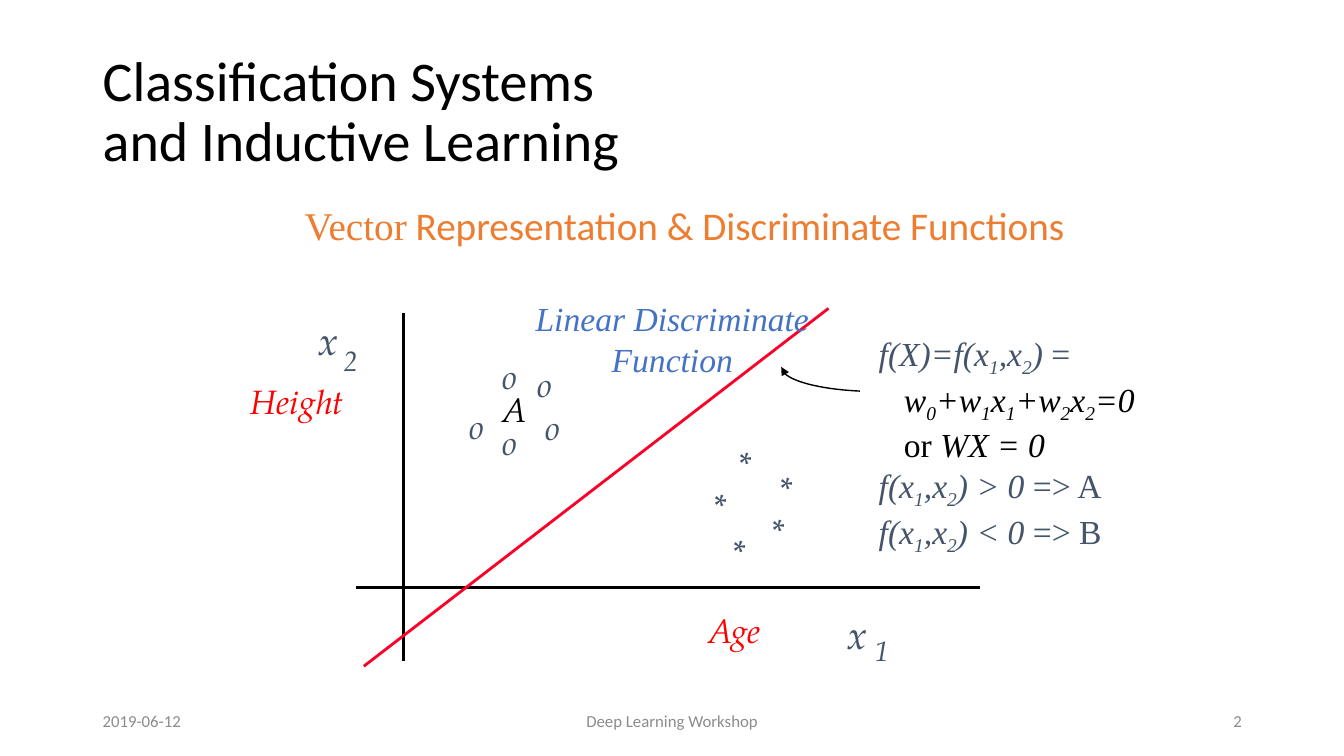
from lxml.etree import SubElement
from pptx import Presentation
from pptx.dml.color import RGBColor
from pptx.enum.shapes import MSO_CONNECTOR as Connector
from pptx.enum.text import MSO_ANCHOR as Anchor, MSO_AUTO_SIZE as AutoSize, PP_ALIGN as Align
from pptx.oxml.ns import qn
from pptx.util import Pt

BLACK, SLATE, GREY = "000000", "44546A", "8C8C8C"
RED, CRIMSON, ORANGE, BLUE = "FF0000", "FC0128", "ED7D31", "4472C4"
SANS, SERIF, BOOK = "Calibri", "Times New Roman", "TeX Gyre Pagella"


def colour(value):
    return RGBColor.from_string(value)


class SlideWriter:
    """Hold the style and the current slide, and draw each kind of element in points."""

    def __init__(self, page):
        self.page = page

    def style(self, span, size, font, shade, italic=False):
        span.font.size, span.font.name = Pt(size), font
        span.font.color.rgb, span.font.italic = colour(shade), italic

    def place(self, box, left, top, width, height):
        box.left, box.top, box.width, box.height = map(Pt, (left, top, width, height))

    def title(self, text, area):
        box = self.page.shapes.title
        self.place(box, *area)
        frame = box.text_frame
        frame.text, frame.vertical_anchor, frame.auto_size = text, Anchor.MIDDLE, AutoSize.NONE
        para = frame.paragraphs[0]
        para.alignment, para.line_spacing = Align.LEFT, 0.9
        for span in para.runs:
            self.style(span, 40, SANS, BLACK)

    def subtitle(self, spans, area):
        box = self.page.placeholders[1]
        self.place(box, *area)
        box.text_frame.auto_size = AutoSize.NONE
        para = box.text_frame.paragraphs[0]
        para.alignment, para.line_spacing, para.space_before = Align.CENTER, 0.9, Pt(0)
        properties = para._p.get_or_add_pPr()
        properties.set("marL", str(Pt(18)))
        properties.set("indent", str(Pt(-18)))
        SubElement(properties, qn("a:buNone"))
        for text, font in spans:
            span = para.add_run()
            span.text = text
            self.style(span, 28, font, ORANGE)

    def text(self, text, area, size, font, shade, italic=True, align=Align.LEFT,
             anchor=Anchor.TOP, wrap=False):
        box = self.page.shapes.add_textbox(*map(Pt, area))
        frame = box.text_frame
        frame.text, frame.word_wrap, frame.vertical_anchor = text, wrap, anchor
        frame.auto_size = AutoSize.NONE if wrap else AutoSize.SHAPE_TO_FIT_TEXT
        for para in frame.paragraphs:
            para.alignment = align
            for span in para.runs:
                self.style(span, size, font, shade, italic)

    def formulas(self, rows, area):
        frame = self.page.shapes.add_textbox(*map(Pt, area)).text_frame
        frame.word_wrap, frame.auto_size = True, AutoSize.SHAPE_TO_FIT_TEXT
        for index, (indent, shade, parts) in enumerate(rows):
            para = frame.add_paragraph() if index else frame.paragraphs[0]
            para._p.get_or_add_pPr().set("marL", str(Pt(indent)))
            for text, italic in parts:
                first, *rest = text.split("_")
                pieces = [(first, False)]
                for piece in rest:
                    pieces += [(piece[0], True), (piece[1:], False)]
                for words, lowered in pieces:
                    if words:
                        span = para.add_run()
                        span.text = words
                        self.style(span, 24, SERIF, shade, italic)
                        if lowered:
                            span._r.get_or_add_rPr().set("baseline", "-25000")

    def line(self, start, end, shade):
        line = self.page.shapes.add_connector(Connector.STRAIGHT, *map(Pt, start + end))
        line.line.color.rgb, line.line.width = colour(shade), Pt(2)
        SubElement(line._element.spPr, qn("a:effectLst"))

    def curved_arrow(self, controls, steps=24):
        points = []
        for step in range(steps + 1):
            t = step / steps
            weights = ((1 - t) ** 3, 3 * t * (1 - t) ** 2, 3 * t * t * (1 - t), t ** 3)
            points.append(tuple(Pt(sum(w * c for w, c in zip(weights, axis)))
                                for axis in zip(*controls)))
        builder = self.page.shapes.build_freeform(*points[0])
        builder.add_line_segments(points[1:], close=False)
        arrow = builder.convert_to_shape()
        arrow.shadow.inherit = False
        arrow.fill.background()
        arrow.line.color.rgb, arrow.line.width = colour(BLACK), Pt(1)
        SubElement(arrow.line._get_or_add_ln(), qn("a:tailEnd"), type="triangle")


def main():
    deck = Presentation()
    deck.slide_width, deck.slide_height = Pt(960), Pt(540)
    writer = SlideWriter(deck.slides.add_slide(deck.slide_layouts[1]))

    writer.title("Classification Systems\vand Inductive Learning", (66.2, 28.8, 828, 104.4))
    writer.subtitle([("Vector", SERIF), (" Representation & Discriminate Functions", SANS)],
                    (185.8, 144, 606.2, 54))

    writer.line((288, 223.9), (288, 472.3), BLACK)
    writer.line((254.2, 419.8), (699.8, 419.8), BLACK)
    for text, area, size, shade in [
        ("x", (220.3, 222.5, 28.8, 41), 28, SLATE),
        ("x", (598.3, 432.7, 28.8, 41), 28, SLATE),
        ("Height", (172.1, 268.6, 81.4, 36), 24, RED),
        ("Age", (499, 432, 53.3, 36), 24, RED),
        ("2", (238.3, 241.9, 24.5, 31), 20, SLATE),
        ("1", (617.8, 449.3, 23.8, 31), 20, SLATE),
        ("A", (352.1, 274.3, 31.7, 36), 24, BLACK),
    ]:
        writer.text(text, area, size, BOOK, shade)

    class_a = [(352.1, 298.1), (352.1, 250.6), (376.6, 256.3), (382.3, 287.3), (328.3, 286.6)]
    class_b = [(521.3, 312.5), (503.3, 342.7), (517, 375.8), (550.8, 330.5), (545, 360.7)]
    for mark, width, samples in [("o", 25.2, class_a), ("*", 23.8, class_b)]:
        for left, top in samples:
            writer.text(mark, (left, top, width, 36), 24, BOOK, SLATE)

    writer.line((259.9, 475.9), (591.8, 220.3), CRIMSON)
    writer.text("Linear Discriminate\nFunction", (374.4, 209.5, 211.7, 65.5), 24, SERIF, BLUE,
                align=Align.CENTER)
    writer.curved_arrow([(614.2, 279.4), (581.8, 277.9), (558, 270.7), (558, 262.1)])
    writer.formulas([
        (0, SLATE, [("f(X)=f(x_1,x_2)", True), (" =", False)]),
        (18, BLACK, [("w_0+w_1x_1+w_2x_2=0", True)]),
        (18, BLACK, [("or", False), (" WX = 0", True)]),
        (0, SLATE, [("f(x_1,x_2) > 0", True), (" => A", False)]),
        (0, SLATE, [("f(x_1,x_2) < 0", True), (" => B", False)]),
    ], (620.6, 234, 231.1, 152.6))

    for text, left, width, align in [
        ("2019-06-12", 66.2, 216, Align.LEFT),
        ("Deep Learning Workshop", 318.2, 324, Align.CENTER),
        ("2", 678.2, 216, Align.RIGHT),
    ]:
        writer.text(text, (left, 500.4, width, 28.8), 12, SANS, GREY, italic=False,
                    align=align, anchor=Anchor.MIDDLE, wrap=True)

    deck.save("out.pptx")


if __name__ == "__main__":
    main()
